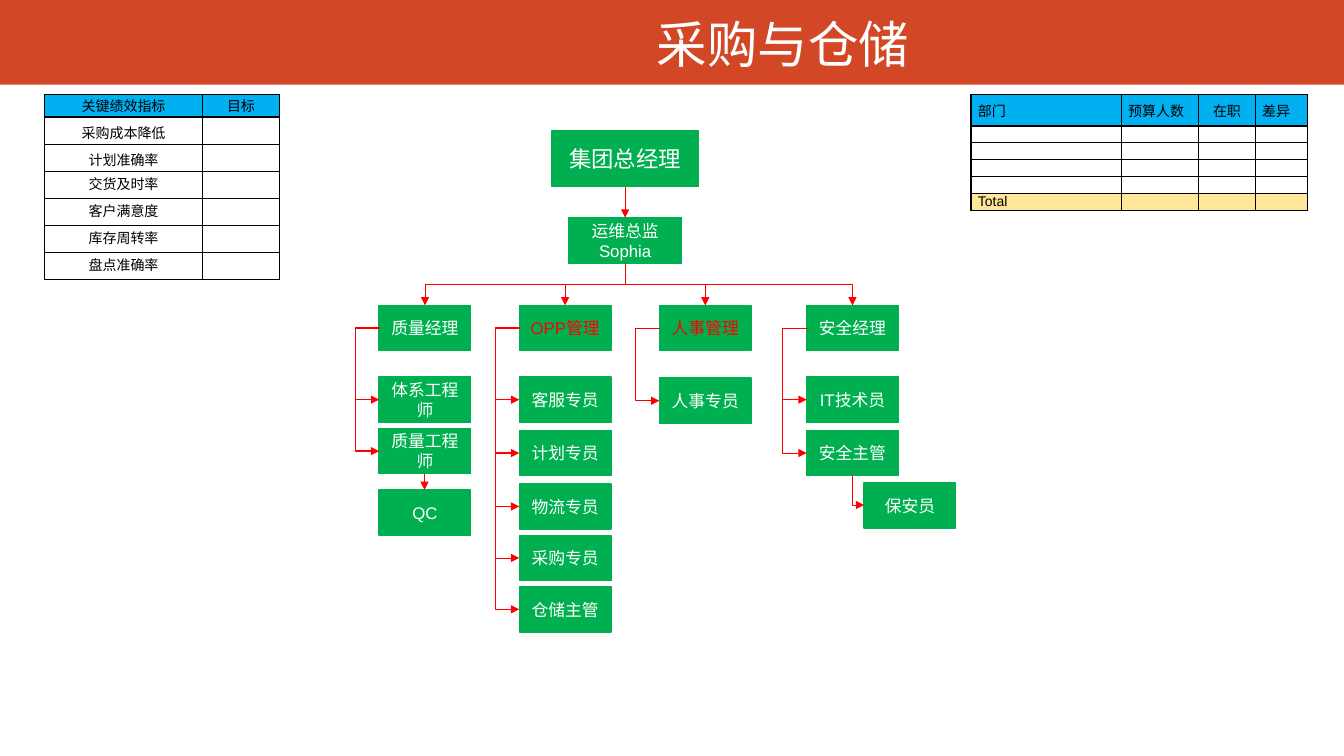
from lxml import etree
from pptx import Presentation
from pptx.dml.color import RGBColor
from pptx.enum.shapes import MSO_CONNECTOR, MSO_SHAPE
from pptx.enum.text import MSO_ANCHOR, PP_ALIGN
from pptx.oxml.ns import qn
from pptx.util import Inches, Pt

RECT = MSO_SHAPE.RECTANGLE
LINE, ELBOW = MSO_CONNECTOR.STRAIGHT, MSO_CONNECTOR.ELBOW
MID, LOW = MSO_ANCHOR.MIDDLE, MSO_ANCHOR.BOTTOM
MIDST, JUST = PP_ALIGN.CENTER, PP_ALIGN.JUSTIFY
WHITE = RGBColor(0xFF, 0xFF, 0xFF)
BLACK = RGBColor(0, 0, 0)
RED = RGBColor(0xFF, 0, 0)
GREEN = RGBColor(0, 0xB0, 0x50)
BLUE = RGBColor(0, 0xB0, 0xF0)
SAND = RGBColor(0xFF, 0xE6, 0x99)
RUST = RGBColor(0xD2, 0x47, 0x26)
WIDE, HIGH = 13.33, 7.5
BOX_W, BOX_H = 0.91, 0.45
HUB = 6.2
LEAD = 3.03
COLS = [3.76, 5.15, 6.54, 8.0]
ROWS = [3.74, 4.27, 4.8, 5.31, 5.82]
HOOK, STEP = 0.25, 0.01

deck = Presentation()
deck.slide_width, deck.slide_height = Inches(WIDE), Inches(HIGH)
slide = deck.slides.add_slide(deck.slide_layouts[6])
shapes = slide.shapes


def arrow(kind, start, end, width, turn=0, preset=None, bend=None):
    ends = [Inches(n) for n in (*start, *end)]
    link = shapes.add_connector(kind, *ends)
    link.line.color.rgb = RED
    link.line.width = Pt(width)
    edge = link.line._ln
    etree.SubElement(edge, qn("a:tailEnd"), type="triangle")
    props = link._element.spPr
    etree.SubElement(props, qn("a:effectLst"))
    if turn:
        props.find(qn("a:xfrm")).set("rot", str(turn * 60000))
    shape = props.find(qn("a:prstGeom"))
    if preset:
        shape.set("prst", preset)
    if bend:
        guide = shape.find(qn("a:avLst"))
        value = f"val {round(bend * 100000)}"
        etree.SubElement(guide, qn("a:gd"), name="adj1", fmla=value)


def grid(left, top, cols, rows, data, fills, aligns, pads, gaps):
    size = [Inches(n) for n in (left, top, sum(cols), sum(rows))]
    table = shapes.add_table(len(rows), len(cols), *size).table
    for col, width in zip(table.columns, cols):
        col.width = Inches(width)
    for r, tall in enumerate(rows):
        table.rows[r].height = Inches(tall)
        for c, align in enumerate(aligns):
            cell = table.cell(r, c)
            side, edge = pads[r]
            cell.margin_left = cell.margin_right = Inches(side)
            cell.margin_top = cell.margin_bottom = Inches(edge)
            cell.vertical_anchor = MID
            props = cell._tc.get_or_add_tcPr()
            for name in ("a:lnL", "a:lnR", "a:lnT", "a:lnB"):
                rule = etree.SubElement(props, qn(name), w=str(Pt(1)))
                paint = etree.SubElement(rule, qn("a:solidFill"))
                etree.SubElement(paint, qn("a:srgbClr"), val=str(BLACK))
            cell.fill.solid()
            cell.fill.fore_color.rgb = fills[r]
            para = cell.text_frame.paragraphs[0]
            para.text = data[r][c] if c < len(data[r]) else ""
            para.alignment = align
            if gaps[r] != 1:
                para.line_spacing = gaps[r]
            for run in para.runs:
                run.font.size, run.font.name = Pt(10), "Arial"
                run.font.bold = False
                run.font.color.rgb = BLACK
            if not para.text:
                etree.SubElement(para._p, qn("a:endParaRPr"), sz="1000")


band = shapes.add_shape(RECT, 0, 0, Inches(WIDE), Inches(0.84))
band.shadow.inherit = False
band.fill.solid()
band.fill.fore_color.rgb = RUST
band.line.fill.background()

title = shapes.add_textbox(Inches(2.23), Inches(0.05), Inches(11.07), Inches(0.73))
title.text_frame.word_wrap = True
title.text_frame.vertical_anchor = LOW
head = title.text_frame.paragraphs[0]
head.text = "采购与仓储"
head.alignment = MIDST
font = head.runs[0].font
font.size, font.name = Pt(36), "Noto Sans CJK SC"
font.color.rgb = WHITE

goals = ["采购成本降低", "计划准确率", "交货及时率", "客户满意度", "库存周转率", "盘点准确率"]
grid(0.44, 0.94, [1.57, 0.76], [0.22] + [0.27] * 3 + [0.23] * 3,
     [["关键绩效指标", "目标"]] + [[goal] for goal in goals],
     [BLUE] + [WHITE] * 6, [MIDST] * 2,
     [(0.07, 0)] + [(0.1, 0.05)] * 6, [1] * 3 + [0.7] * 4)
grid(9.63, 0.94, [1.49, 0.77, 0.56, 0.52], [0.31] + [0.16] * 5,
     [["部门", "预算人数", "在职", "差异"], [], [], [], [], ["Total"]],
     [BLUE] + [WHITE] * 4 + [SAND], [JUST, JUST, MIDST, JUST],
     [(0.07, 0)] * 6, [1] * 6)

teams = [
    ("质量经理", WHITE, 1, [("体系工程师", 3.74), ("质量工程师", 4.25)]),
    ("OPP管理", RED, 1, list(zip(
        ["客服专员", "计划专员", "物流专员", "采购专员", "仓储主管"], ROWS))),
    ("人事管理", RED, 0.5, [("人事专员", 3.75)]),
    ("安全经理", WHITE, 0.5, list(zip(["IT技术员", "安全主管"], ROWS))),
]
boxes = [
    ("集团总经理", 5.47, 1.3, 1.46, 0.55, 16, WHITE),
    ("运维总监\nSophia", 5.64, 2.16, 1.12, BOX_H, 12, WHITE),
    ("QC", COLS[0], 4.86, BOX_W, BOX_H, 12, WHITE),
    ("保安员", 8.57, 4.79, BOX_W, BOX_H, 12, WHITE),
]
for x, (lead, ink, width, staff) in zip(COLS, teams):
    for name, y in [(lead, LEAD)] + staff:
        tint = ink if name == lead else WHITE
        boxes.append((name, x, y, BOX_W, BOX_H, 12, tint))

for name, x, y, w, h, size, ink in boxes:
    box = shapes.add_shape(RECT, Inches(x), Inches(y), Inches(w), Inches(h))
    box.shadow.inherit = False
    box.fill.solid()
    box.fill.fore_color.rgb = GREEN
    box.line.color.rgb = GREEN
    box.line.width = Pt(1)
    frame = box.text_frame
    frame.text = name
    frame.word_wrap = True
    frame.vertical_anchor = MID
    for para in frame.paragraphs:
        para.alignment = MIDST
        for run in para.runs:
            run.font.size, run.font.name = Pt(size), "Arial"
            run.font.color.rgb = ink

drops = [(HUB, 2.61, x + BOX_W / 2, LEAD, None) for x in COLS]
drops.append((8.45, 4.71, 8.57, 5.01, "bentConnector2"))
for x1, y1, x2, y2, preset in drops:
    sign = 1 if x2 > x1 else -1
    mid_x, mid_y = (x1 + x2) / 2, (y1 + y2) / 2
    half, rise = sign * (y2 - y1) / 2, abs(x2 - x1) / 2
    arrow(ELBOW, (mid_x + half, mid_y - rise), (mid_x - half, mid_y + rise),
          0.5, 180 + 90 * sign, preset)

for x, (lead, ink, width, staff) in zip(COLS, teams):
    for i, (name, y) in enumerate(staff):
        arrow(ELBOW, (x, y + BOX_H / 2), (x + STEP, LEAD + BOX_H / 2),
              width if i < 3 else 0.5, 180, bend=HOOK / STEP)

arrow(LINE, (HUB, 1.86), (HUB, 2.16), 0.5)
arrow(LINE, (4.21, 4.7), (4.21, 4.86), 1)

deck.save("out.pptx")
